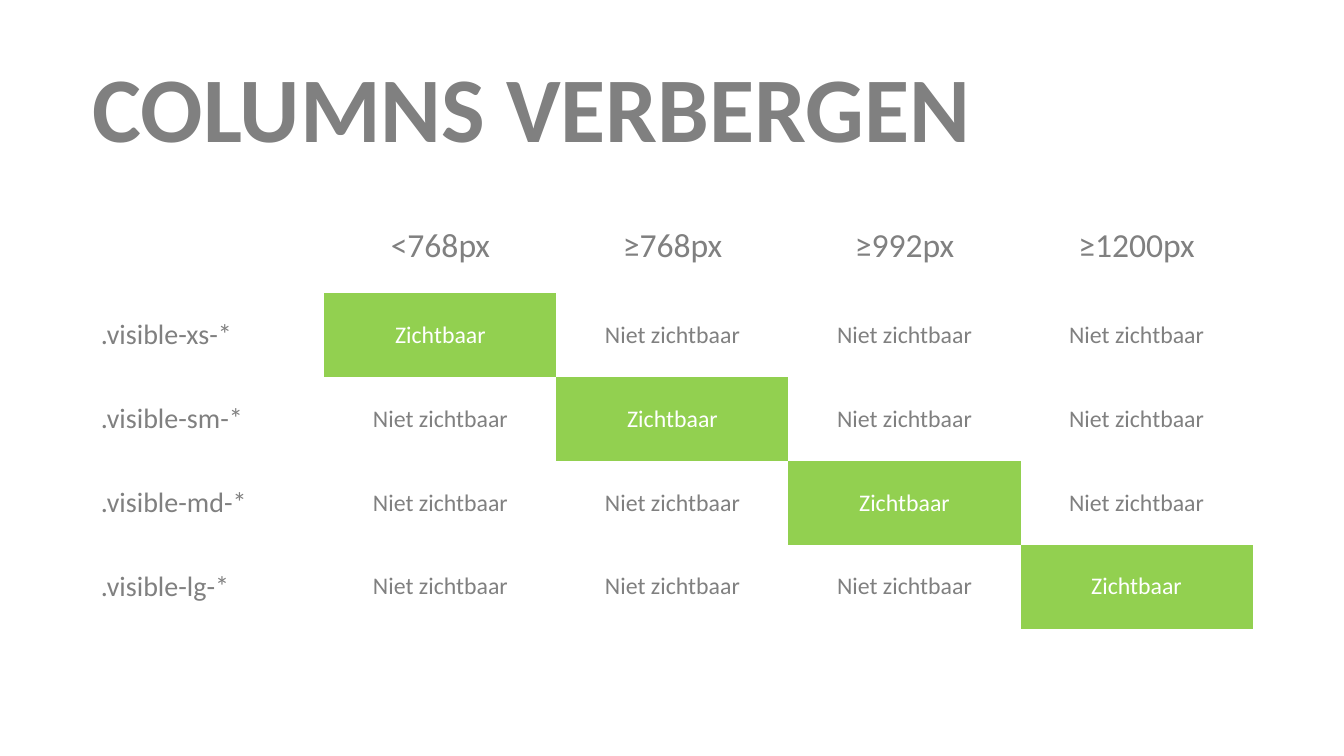
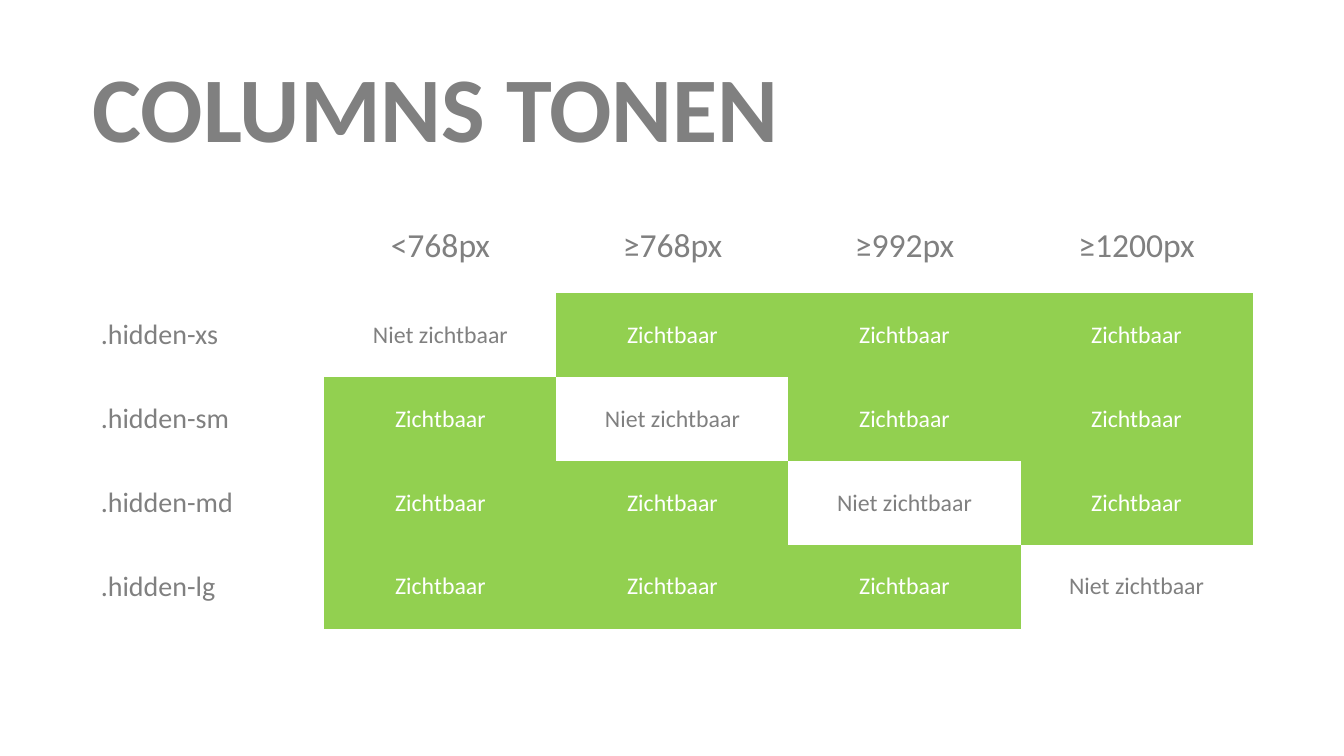
from dataclasses import dataclass

from pptx import Presentation
from pptx.dml.color import RGBColor
from pptx.enum.text import MSO_ANCHOR, MSO_AUTO_SIZE, PP_ALIGN
from pptx.oxml.ns import qn
from pptx.util import Emu, Pt

MIDDLE = MSO_ANCHOR.MIDDLE
LEFT, CENTER = PP_ALIGN.LEFT, PP_ALIGN.CENTER
NO_STYLE_NO_GRID = "{2D5ABB26-0587-4C30-8999-92F81FD0307C}"
TITLE_ONLY = 5


@dataclass(frozen=True)
class Theme:
    font: str = "Calibri"
    gray: RGBColor = RGBColor(0x80, 0x80, 0x80)
    green: RGBColor = RGBColor(0x92, 0xD0, 0x50)
    white: RGBColor = RGBColor(0xFF, 0xFF, 0xFF)
    title: int = 66
    header: int = 24
    label: int = 20
    value: int = 17


THEME = Theme()

MARGIN = 88
COL_W = 221
TABLE_TOP = 190
HEADER_H = 89
ROW_H = 80
CELL_PAD = 8

BREAKPOINTS = ["<768px", "≥768px", "≥992px", "≥1200px"]
SIZES = ["xs", "sm", "md", "lg"]

# title, class name pattern, whether the class shows its own breakpoint
SLIDES = [
    ("COLUMNS VERBERGEN", ".visible-{}-*", True),
    ("COLUMNS TONEN", ".hidden-{}", False),
]


def px(n):
    return Emu(n * 9525)


def add_text(tf, text, size, color, align, bold=False):
    p = tf.paragraphs[0]
    p.alignment = align
    r = p.add_run()
    r.text = text
    r.font.name = THEME.font
    r.font.size = Pt(size)
    r.font.bold = bold
    r.font.color.rgb = color
    return p


prs = Presentation()
prs.slide_width, prs.slide_height = px(1280), px(720)
n_cols, n_rows = len(BREAKPOINTS) + 1, len(SIZES) + 1
table_w = n_cols * COL_W

for title, pattern, shows_own in SLIDES:
    slide = prs.slides.add_slide(prs.slide_layouts[TITLE_ONLY])

    sp = slide.shapes.title
    sp.left, sp.top, sp.width, sp.height = px(MARGIN), px(38), px(table_w), px(139)
    tf = sp.text_frame
    tf.word_wrap = True
    tf.auto_size = MSO_AUTO_SIZE.NONE
    tf.vertical_anchor = MIDDLE
    tf.margin_left = tf.margin_right = 0
    p = add_text(tf, title, THEME.title, THEME.gray, LEFT, bold=True)
    p.line_spacing = 0.9

    table = slide.shapes.add_table(
        n_rows, n_cols, px(MARGIN), px(TABLE_TOP),
        px(table_w), px(HEADER_H + len(SIZES) * ROW_H)).table
    table.first_row = table.horz_banding = False
    table._tbl.tblPr.find(qn("a:tableStyleId")).text = NO_STYLE_NO_GRID
    for col in table.columns:
        col.width = px(COL_W)
    for i, row in enumerate(table.rows):
        row.height = px(ROW_H if i else HEADER_H)

    for cell in table.iter_cells():
        cell.fill.background()
        cell.vertical_anchor = MIDDLE
        cell.margin_left = cell.margin_right = px(CELL_PAD)
        cell.margin_top = cell.margin_bottom = px(CELL_PAD)

    for j, breakpoint_text in enumerate(BREAKPOINTS, 1):
        add_text(table.cell(0, j).text_frame, breakpoint_text,
                 THEME.header, THEME.gray, CENTER)

    for i, size in enumerate(SIZES, 1):
        add_text(table.cell(i, 0).text_frame, pattern.format(size),
                 THEME.label, THEME.gray, LEFT)
        for j in range(1, n_cols):
            cell = table.cell(i, j)
            visible = (i == j) == shows_own
            if visible:
                cell.fill.solid()
                cell.fill.fore_color.rgb = THEME.green
            add_text(cell.text_frame,
                     "Zichtbaar" if visible else "Niet zichtbaar",
                     THEME.value, THEME.white if visible else THEME.gray, CENTER)

prs.save("out.pptx")
